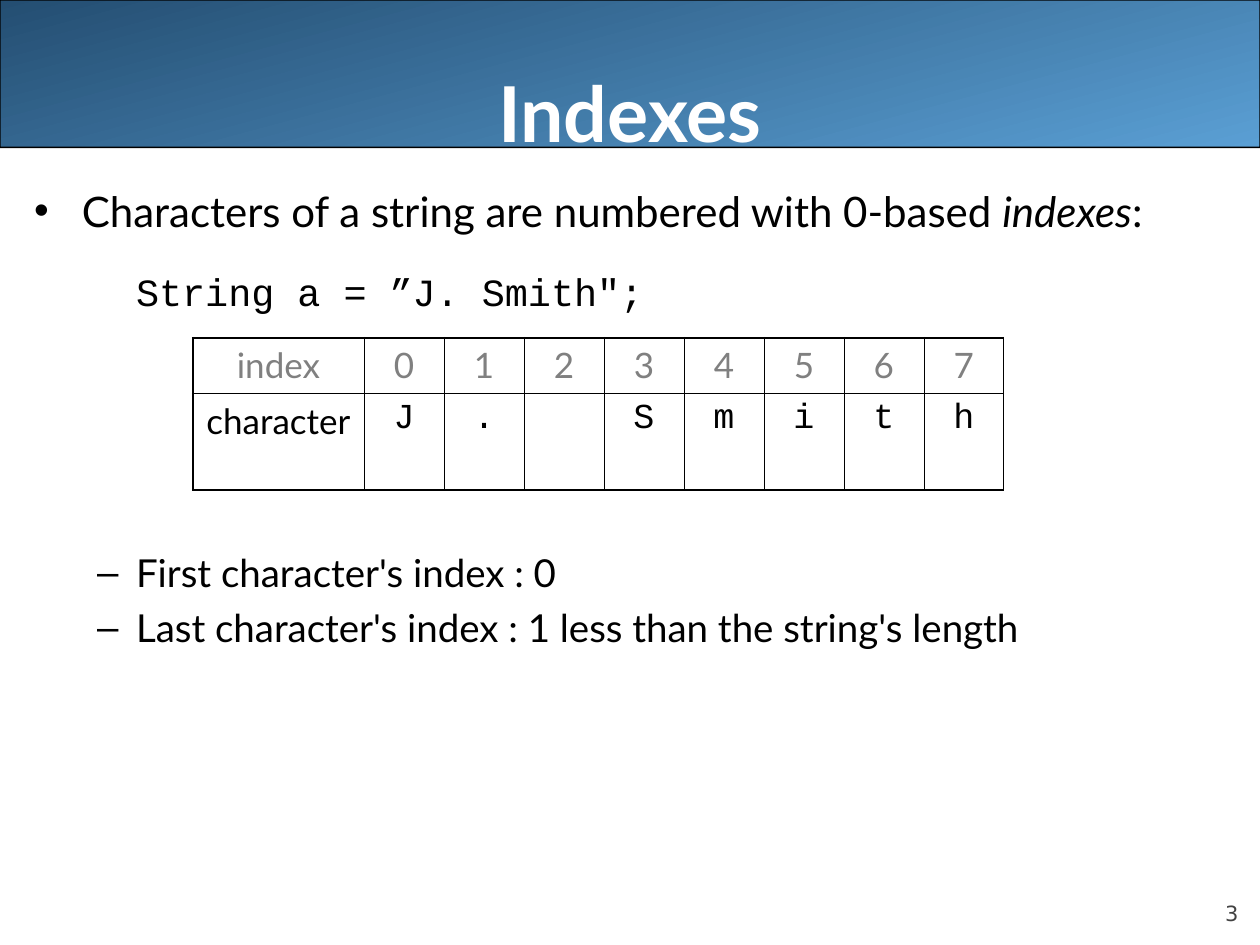
from dataclasses import dataclass
from lxml.etree import SubElement
from pptx import Presentation
from pptx.dml.color import RGBColor as RGB
from pptx.enum.shapes import MSO_SHAPE as Shape
from pptx.enum.text import MSO_ANCHOR as Anchor, MSO_AUTO_SIZE as Auto, PP_ALIGN as Align
from pptx.oxml.ns import qn
from pptx.util import Inches, Pt


@dataclass(frozen=True)
class Theme:
    sans: str = "Lato"
    mono: str = "Courier New"
    small: str = "DejaVu Sans"
    black: str = "000000"
    white: str = "FFFFFF"
    gray: str = "808080"
    dark: str = "424242"
    deep: str = "244E72"
    sky: str = "5A9FD4"
    title: int = 44
    lead: int = 24
    text: int = 22
    cell: int = 20
    page: int = 12
    thin: float = 0.45
    thick: float = 1.08


T = Theme()
WIDE, HIGH = 10, 7.5
TITLE, PAGE = "Indexes", "3"
WORD = "J. Smith"

# bullet, left margin, hanging indent, space before, font, size, runs (text, italic)
LINES = [
    ("•", 0.38, 0.38, 0, T.sans, T.lead,
     [("Characters of a string are numbered with 0-based ", False),
      ("indexes", True), (":", False)]),
    (None, 0.81, 0, 18.5, T.mono, T.text, [(f'String a = ”{WORD}";', False)]),
    ("–", 0.81, 0.31, 134, T.sans, T.text, [("First character's index : 0", False)]),
    ("–", 0.81, 0.31, 5.5, T.sans, T.text,
     [("Last character's index : 1 less than the string's length", False)]),
]
ROWS = [["index", *map(str, range(len(WORD)))],
        ["character", *WORD]]
HEIGHTS = [0.44, 0.77]
LABEL, GRID = 1.36, 6.44


def place(shape, left, top, width, height):
    shape.left, shape.top = Inches(left), Inches(top)
    shape.width, shape.height = Inches(width), Inches(height)


def inset(frame, *sides):
    (frame.margin_left, frame.margin_top,
     frame.margin_right, frame.margin_bottom) = map(Inches, sides)


def add_run(para, text, font, size, color, bold=False, italic=False):
    run = para.add_run()
    run.text = text
    face = run.font
    face.name, face.size, face.bold, face.italic = font, Pt(size), bold, italic
    face.color.rgb = RGB.from_string(color)


def set_bullet(para, mark, left, hang):
    props = para._p.get_or_add_pPr()
    props.set("marL", str(Inches(left)))
    props.set("indent", str(-Inches(hang)))
    if mark:
        tint = SubElement(props, qn("a:buClr"))
        SubElement(tint, qn("a:srgbClr"), val=T.black)
        SubElement(props, qn("a:buChar"), char=mark)
    else:
        SubElement(props, qn("a:buNone"))


def set_edges(cell, **widths):
    """Draw the cell borders; L, R, T and B give widths in points."""
    props = cell._tc.get_or_add_tcPr()
    for i, (side, width) in enumerate(widths.items()):
        line = SubElement(props, qn("a:ln" + side), w=str(Pt(width)))
        fill = SubElement(line, qn("a:solidFill"))
        SubElement(fill, qn("a:srgbClr"), val=T.black)
        props.insert(i, line)


def add_header(slide):
    bar = slide.shapes.add_shape(Shape.ROUNDED_RECTANGLE, 0, 0, Inches(WIDE), Inches(1.17))
    bar.adjustments[0] = 0.001
    bar.shadow.inherit = False
    bar.fill.gradient()
    bar.fill.gradient_angle = 285
    for stop, pos, color in zip(bar.fill.gradient_stops, (0, 1), (T.deep, T.sky)):
        stop.position = pos
        stop.color.rgb = RGB.from_string(color)
    bar.line.color.rgb = RGB.from_string(T.black)
    bar.line.width = Pt(0.75)
    slide.shapes._spTree.insert(2, bar._element)

    title = slide.shapes.title
    place(title, 0.5, 0, WIDE - 1, 1.25)
    frame = title.text_frame
    frame.auto_size, frame.vertical_anchor = Auto.NONE, Anchor.BOTTOM
    inset(frame, 0, 0.05, 0, 0)
    para = frame.paragraphs[0]
    para.alignment = Align.CENTER
    add_run(para, TITLE, T.sans, T.title, T.white, bold=True)


def add_body(slide):
    body = slide.placeholders[1]
    place(body, 0.17, 1.42, WIDE - 0.17, 5.67)
    frame = body.text_frame
    frame.auto_size = Auto.NONE
    for i, (mark, left, hang, gap, font, size, runs) in enumerate(LINES):
        para = frame.add_paragraph() if i else frame.paragraphs[0]
        para.level = min(i, 1)
        set_bullet(para, mark, left, hang)
        para.space_before = Pt(gap)
        for text, italic in runs:
            add_run(para, text, font, size, T.black, italic=italic)


def add_grid(slide):
    count = len(ROWS[0])
    table = slide.shapes.add_table(
        len(ROWS), count, Inches(1.53), Inches(2.68),
        Inches(GRID), Inches(sum(HEIGHTS))).table
    table.first_row = table.horz_banding = False
    for c, col in enumerate(table.columns):
        col.width = Inches((GRID - LABEL) / (count - 1) if c else LABEL)
    for r, texts in enumerate(ROWS):
        table.rows[r].height = Inches(HEIGHTS[r])
        for c, text in enumerate(texts):
            cell = table.cell(r, c)
            cell.fill.background()
            inset(cell, 0.1, 0.05, 0.1, 0.05)
            set_edges(cell, L=T.thin if c else T.thick, R=T.thin,
                      T=T.thin if r else T.thick, B=T.thick if r else T.thin)
            para = cell.text_frame.paragraphs[0]
            para.alignment = Align.CENTER
            if text.strip():
                add_run(para, text, T.mono if r and c else T.sans, T.cell,
                        T.black if r else T.gray)


def add_page(slide):
    box = slide.shapes.add_textbox(Inches(9), Inches(6.95), Inches(0.83), Inches(0.4))
    frame = box.text_frame
    frame.word_wrap, frame.vertical_anchor = True, Anchor.BOTTOM
    inset(frame, 0, 0, 0, 0)
    para = frame.paragraphs[0]
    para.alignment = Align.RIGHT
    add_run(para, PAGE, T.small, T.page, T.dark)


def main():
    deck = Presentation()
    deck.slide_width, deck.slide_height = Inches(WIDE), Inches(HIGH)
    slide = deck.slides.add_slide(deck.slide_layouts[1])
    for build in (add_header, add_body, add_grid, add_page):
        build(slide)
    deck.save("out.pptx")


if __name__ == "__main__":
    main()
